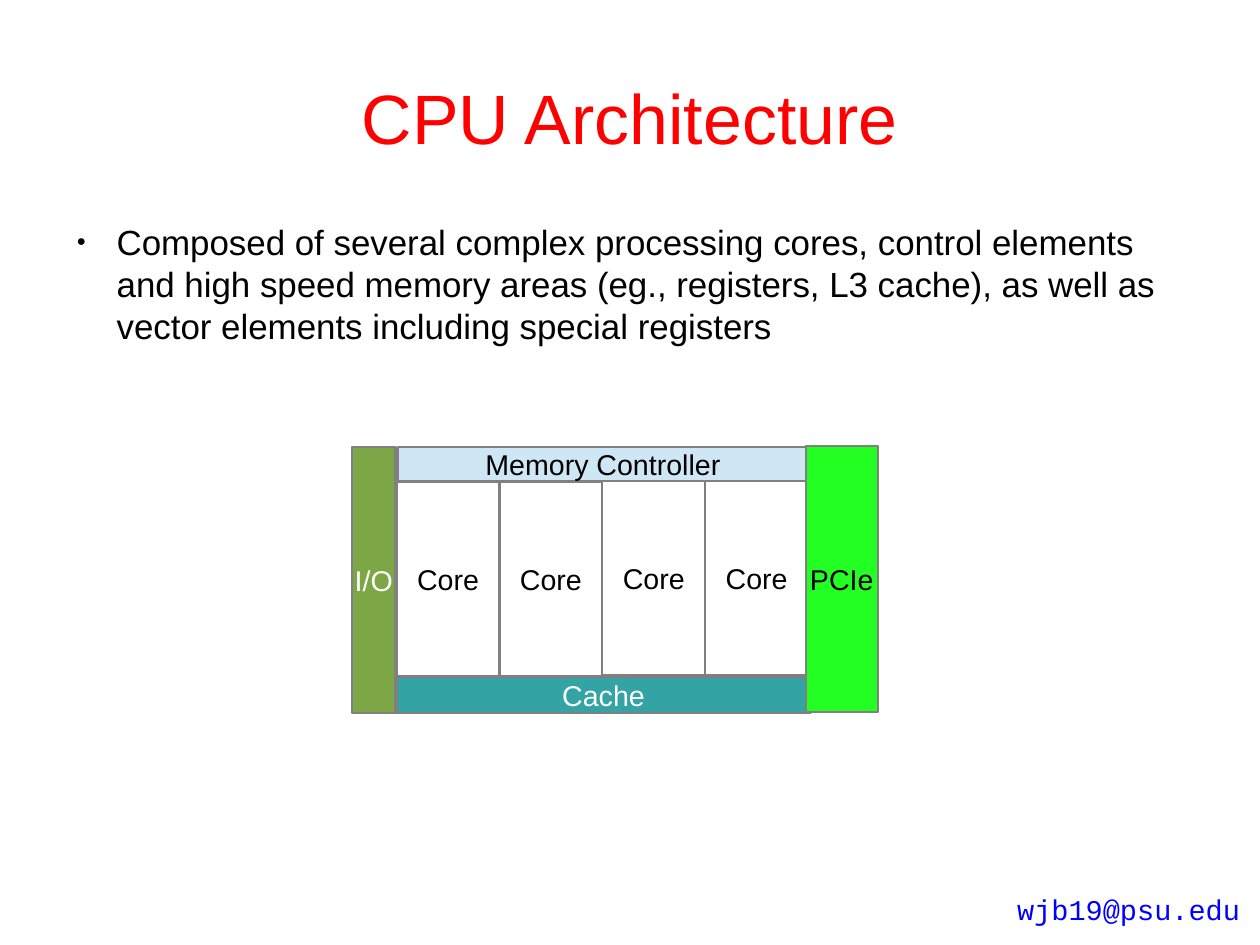
import pptx
import pptx.dml.color
import pptx.enum.shapes
import pptx.enum.text
import pptx.oxml
import pptx.oxml.ns
import pptx.util
from lxml import etree

RGBColor = pptx.dml.color.RGBColor
Inches = pptx.util.Inches
Pt = pptx.util.Pt
Align = pptx.enum.text.PP_ALIGN
Anchor = pptx.enum.text.MSO_ANCHOR

BLACK = RGBColor(0x00, 0x00, 0x00)
WHITE = RGBColor(0xFF, 0xFF, 0xFF)
RED = RGBColor(0xFF, 0x00, 0x00)
BLUE = RGBColor(0x00, 0x00, 0xFF)
GRAY = RGBColor(0x80, 0x80, 0x80)
TEAL = RGBColor(0x33, 0xA3, 0xA3)
PALE_BLUE = RGBColor(0xCF, 0xE7, 0xF5)
OLIVE = RGBColor(0x7D, 0xA6, 0x47)
GREEN = RGBColor(0x23, 0xFF, 0x23)

PAGE_WIDTH, PAGE_HEIGHT = pptx.util.Cm(28), pptx.util.Cm(21)
SLIDE_WIDTH, SLIDE_HEIGHT = PAGE_WIDTH.inches, PAGE_HEIGHT.inches
MARGIN = 0.05 * SLIDE_WIDTH

# Grid of the processor diagram, in inches
CORE_COUNT = 4
CORE_WIDTH, CORE_HEIGHT = 0.9, 1.7
CORES_WIDTH = CORE_COUNT * CORE_WIDTH
CHIP_LEFT, CHIP_TOP = 3.47, 3.91
CHIP_RIGHT = CHIP_LEFT + CORES_WIDTH
CONTROLLER_HEIGHT, CACHE_HEIGHT = 0.3, 0.32
CHIP_HEIGHT = 2.33
CACHE_TOP = CHIP_TOP + CHIP_HEIGHT - CACHE_HEIGHT
CORES_TOP = CACHE_TOP - CORE_HEIGHT
IO_WIDTH, PCIE_WIDTH = 0.38, 0.63
OVERLAP = 0.02
NUDGE = 0.01


def set_text(shape, text, size, color, font="Arial", insets=(0, 0), wrap=True):
    """Write one paragraph into the shape and return it."""
    frame = shape.text_frame
    frame.text = text
    frame.word_wrap = wrap
    frame.margin_left = frame.margin_right = Inches(insets[0])
    frame.margin_top = frame.margin_bottom = Inches(insets[1])
    paragraph = frame.paragraphs[0]
    run_font = paragraph.runs[0].font
    run_font.name, run_font.size = font, Pt(size)
    run_font.color.rgb = color
    return paragraph


def add_text_box(slide, left, top, width, height, *text, **options):
    box = slide.shapes.add_textbox(*map(Inches, (left, top, width, height)))
    return box, set_text(box, *text, **options)


def add_bullet(paragraph, indent, hanging):
    properties = paragraph._p.get_or_add_pPr()
    properties.set("marL", str(Inches(indent)))
    properties.set("indent", str(-Inches(hanging)))
    qn = pptx.oxml.ns.qn
    color = etree.SubElement(properties, qn("a:buClr"))
    etree.SubElement(color, qn("a:srgbClr"), val=str(BLACK))
    etree.SubElement(properties, qn("a:buSzPct"), val="45000")
    etree.SubElement(properties, qn("a:buFont"), typeface="Arial")
    etree.SubElement(properties, qn("a:buChar"), char="●")


def add_block(slide, left, top, width, height, label, fill=None, color=BLACK):
    """Add one outlined unit of the processor."""
    block = slide.shapes.add_shape(
        pptx.enum.shapes.MSO_SHAPE.RECTANGLE,
        *map(Inches, (left, top, width, height)))
    block.shadow.inherit = False
    if fill is None:
        block.fill.background()
    else:
        block.fill.solid()
        block.fill.fore_color.rgb = fill
    block.line.color.rgb = GRAY
    block.line.width = Pt(1.45)
    paragraph = set_text(block, label, 18, color, insets=(0.11, 0.06), wrap=False)
    paragraph.alignment = Align.CENTER
    block.text_frame.vertical_anchor = Anchor.MIDDLE


def add_processor(slide):
    for column in range(CORE_COUNT):
        raised = NUDGE * (column // 2)
        add_block(slide, CHIP_LEFT + column * CORE_WIDTH, CORES_TOP - raised,
                  CORE_WIDTH, CORE_HEIGHT, "Core")
    add_block(slide, CHIP_LEFT, CACHE_TOP, CORES_WIDTH + OVERLAP, CACHE_HEIGHT,
              "Cache", TEAL, WHITE)
    add_block(slide, CHIP_LEFT + NUDGE, CHIP_TOP, CORES_WIDTH - NUDGE,
              CONTROLLER_HEIGHT, "Memory Controller", PALE_BLUE)
    add_block(slide, CHIP_LEFT - IO_WIDTH - NUDGE, CHIP_TOP, IO_WIDTH,
              CHIP_HEIGHT, "I/O", OLIVE, WHITE)
    add_block(slide, CHIP_RIGHT - OVERLAP, CHIP_TOP - NUDGE, PCIE_WIDTH,
              CHIP_HEIGHT, "PCIe", GREEN)


def main():
    presentation = pptx.Presentation()
    presentation.slide_width = PAGE_WIDTH
    presentation.slide_height = PAGE_HEIGHT
    slide = presentation.slides.add_slide(presentation.slide_layouts[6])

    title, heading = add_text_box(
        slide, MARGIN, 0.04 * SLIDE_HEIGHT, 0.9 * SLIDE_WIDTH, 1.38,
        "CPU Architecture", 44, RED)
    heading.alignment = Align.CENTER
    title.text_frame.vertical_anchor = Anchor.MIDDLE

    _, summary = add_text_box(
        slide, MARGIN, 1.93, 0.88 * SLIDE_WIDTH, 0.58 * SLIDE_HEIGHT,
        "Composed of several complex processing cores, control elements and "
        "high speed memory areas (eg., registers, L3 cache), as well as "
        "vector elements including special registers", 22, BLACK)
    add_bullet(summary, 0.47, 0.35)
    summary.space_after = Pt(14.2)

    add_text_box(slide, 8.8, 7.75, 2.15, 0.38, "wjb19@psu.edu", 18, BLUE,
                 font="Courier New", insets=(0.1, 0.05), wrap=False)
    add_processor(slide)
    presentation.save("out.pptx")


if __name__ == "__main__":
    main()
